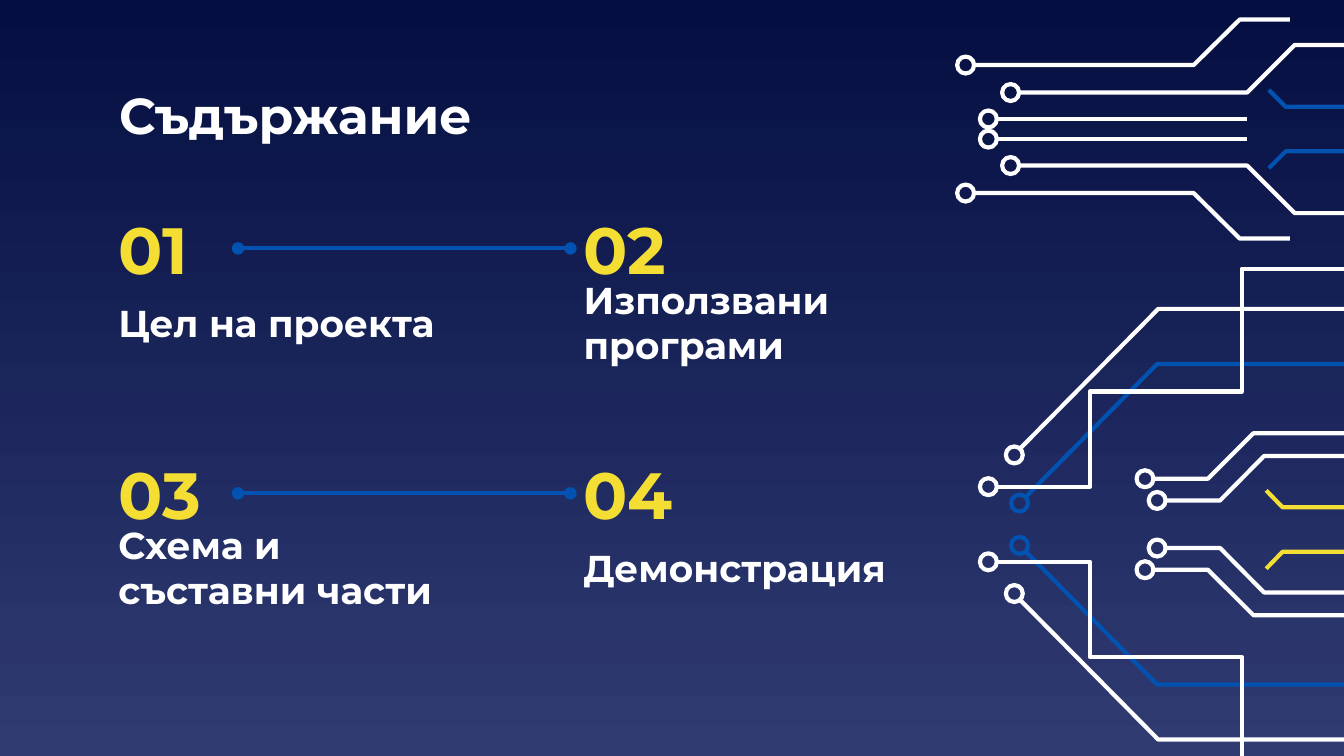
from lxml import etree
from pptx import Presentation
from pptx import util as u
from pptx.dml.color import RGBColor
from pptx.enum import shapes, text
from pptx.oxml.ns import qn

WHITE, BLUE, YELLOW = "FFFFFF", "0152B1", "F5DE34"
FONT = "Montserrat"
LINE_WIDTH = 2.25
PAD_SIZE = 0.32
COLUMNS = (1.99, 10.78)
ROWS = (3.96, 8.59)
NUMBER_HEIGHT = 1.47
LABEL_HEIGHT = 1.32
TOPICS = (
    ("Цел на проекта", "Използвани програми"),
    ("Схема и съставни части", "Демонстрация"),
)

# Upper half of every circuit, in cm: mirror axis, colour, pad centre, track points
CIRCUITS = (
    (10.01, YELLOW, None, [(23.93, 9.27), (24.24, 9.59), (25.68, 9.59)]),
    (9.91, WHITE, (21.87, 9.46),
     [(22.0, 9.46), (23.06, 9.46), (23.89, 8.62), (25.9, 8.62)]),
    (9.91, WHITE, (21.64, 9.05),
     [(21.79, 9.05), (22.83, 9.05), (23.69, 8.19), (25.9, 8.19)]),
    (9.91, BLUE, (19.27, 9.51), [(19.36, 9.42), (21.87, 6.88), (25.9, 6.88)]),
    (9.91, WHITE, (18.68, 9.2),
     [(18.83, 9.2), (20.6, 9.2), (20.6, 7.4), (23.47, 7.4), (23.47, 5.08), (25.9, 5.08)]),
    (9.91, WHITE, (19.17, 8.6), [(19.25, 8.51), (21.89, 5.84), (25.9, 5.84)]),
    (2.44, BLUE, None, [(23.98, 1.7), (24.3, 2.02), (25.73, 2.02)]),
    (2.44, WHITE, (18.25, 1.23),
     [(18.39, 1.23), (22.56, 1.23), (23.43, 0.37), (24.38, 0.37)]),
    (2.44, WHITE, (19.1, 1.75),
     [(19.25, 1.75), (23.57, 1.75), (24.47, 0.85), (26.04, 0.85)]),
    (2.44, WHITE, (18.68, 2.25), [(18.83, 2.25), (23.57, 2.25)]),
)


def rgb(value):
    return RGBColor.from_string(value)


def set_background(slide):
    fill = slide.background.fill
    fill.gradient()
    fill.gradient_angle = 270
    for stop, position, color in zip(fill.gradient_stops, (0, 1), ("040E41", "303B72")):
        stop.position = position
        stop.color.rgb = rgb(color)


def set_line(shape, color):
    shape.line.color.rgb = rgb(color)
    shape.line.width = u.Pt(LINE_WIDTH)


def add_outline(shape, color):
    shape.shadow.inherit = False
    shape.fill.background()
    set_line(shape, color)


def add_line(slide, start, end, color):
    connector = slide.shapes.add_connector(
        shapes.MSO_CONNECTOR.STRAIGHT, *(u.Cm(value) for value in start + end))
    set_line(connector, color)
    etree.SubElement(connector._element.spPr, qn("a:effectLst"))
    return connector


def add_track(slide, points, color):
    if len(points) == 2:
        add_line(slide, *points, color)
        return
    corners = [(u.Cm(x), u.Cm(y)) for x, y in points]
    builder = slide.shapes.build_freeform(*corners[0])
    builder.add_line_segments(corners[1:], close=False)
    add_outline(builder.convert_to_shape(), color)


def add_pad(slide, center, color):
    left, top = (u.Cm(value - PAD_SIZE / 2) for value in center)
    pad = slide.shapes.add_shape(
        shapes.MSO_SHAPE.OVAL, left, top, u.Cm(PAD_SIZE), u.Cm(PAD_SIZE))
    add_outline(pad, color)


def add_circuit(slide, axis, color, pad, points):
    """Draw a track and its pad, then both again mirrored across the axis."""
    def mirror(point):
        return point[0], 2 * axis - point[1]

    add_track(slide, points, color)
    add_track(slide, [mirror(point) for point in points], color)
    if pad:
        add_pad(slide, pad, color)
        add_pad(slide, mirror(pad), color)


def add_text(slide, content, box, size, color):
    shape = slide.shapes.add_textbox(*(u.Cm(value) for value in box))
    frame = shape.text_frame
    frame.word_wrap = True
    frame.vertical_anchor = text.MSO_ANCHOR.MIDDLE
    frame.margin_left = frame.margin_right = u.Cm(0.25)
    frame.margin_top = frame.margin_bottom = u.Cm(0.25)
    frame.text = content
    font = frame.paragraphs[0].runs[0].font
    font.name, font.size, font.bold = FONT, u.Pt(size), True
    font.color.rgb = rgb(color)
    return shape


def add_link(slide, left_box, right_box):
    """Join two numbers with a line that has round ends."""
    link = add_line(slide, (0, 0), (1, 0), BLUE)
    link.begin_connect(left_box, 3)
    link.end_connect(right_box, 1)
    for tag in ("a:headEnd", "a:tailEnd"):
        etree.SubElement(link.line._get_or_add_ln(), qn(tag), type="oval")


def add_topic_row(slide, top, first_number, labels):
    numbers = []
    for index, (left, label) in enumerate(zip(COLUMNS, labels)):
        numbers.append(add_text(slide, f"{first_number + index:02}",
                                (left, top, 2.51, NUMBER_HEIGHT), 35, YELLOW))
        add_text(slide, label, (left, top + NUMBER_HEIGHT, 7.19, LABEL_HEIGHT), 20, WHITE)
    add_link(slide, *numbers)


def main():
    presentation = Presentation()
    presentation.slide_width = u.Cm(25.4)
    presentation.slide_height = u.Cm(14.29)
    slide = presentation.slides.add_slide(presentation.slide_layouts[6])
    set_background(slide)
    for circuit in CIRCUITS:
        add_circuit(slide, *circuit)
    add_text(slide, "Съдържание", (2, 1.5, 14.91, LABEL_HEIGHT), 27, WHITE)
    for row, (top, labels) in enumerate(zip(ROWS, TOPICS)):
        add_topic_row(slide, top, row * len(COLUMNS) + 1, labels)
    presentation.save("out.pptx")


if __name__ == "__main__":
    main()
